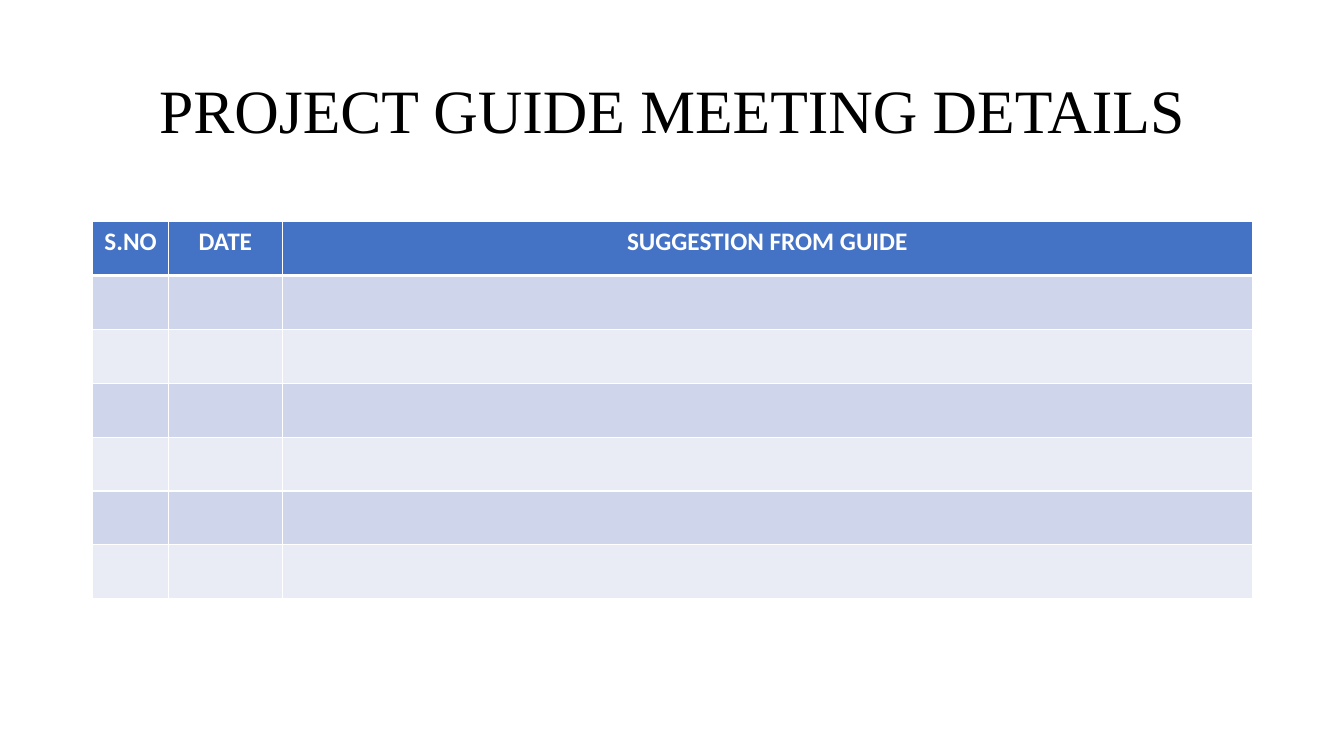
"""Build the project guide meeting slide."""
from lxml.etree import SubElement
from pptx import Presentation
from pptx.dml.color import RGBColor
from pptx.enum.text import MSO_ANCHOR, PP_ALIGN
from pptx.oxml.ns import qn
from pptx.util import Inches, Pt

WHITE, BLACK, HEADER = "FFFFFF", "000000", "4472C4"
BANDS = ("CFD5EA", "E9EBF5")
HEADINGS = ("S.NO", "DATE", "SUGGESTION FROM GUIDE")
COLUMN_WIDTHS = (0.75, 1.13, 9.62)
ENTRY_ROWS = 6


def rgb(value):
    """Return the colour for a hex string."""
    return RGBColor.from_string(value)


def format_paragraph(p, font, size, color, bold=False):
    """Centre a paragraph and format its runs."""
    p.alignment = PP_ALIGN.CENTER
    for r in p.runs:
        r.font.name = font
        r.font.size = Pt(size)
        r.font.bold = bold
        r.font.color.rgb = rgb(color)


def set_borders(cell, color, **widths):
    """Draw the cell's borders with a width in points for each side."""
    tc_pr = cell._tc.get_or_add_tcPr()
    for side, width in widths.items():
        line = SubElement(tc_pr, qn(f"a:ln{side}"), w=str(Pt(width)))
        fill = SubElement(line, qn("a:solidFill"))
        SubElement(fill, qn("a:srgbClr"), val=color)


def add_title(s, text, left, top, width, height):
    """Place the slide title in its box."""
    tf = s.shapes.add_textbox(left, top, width, height).text_frame
    tf.word_wrap = True
    tf.vertical_anchor = MSO_ANCHOR.MIDDLE
    tf.text = text
    p = tf.paragraphs[0]
    p.line_spacing = 0.9
    format_paragraph(p, "Times New Roman", 44, BLACK)


def add_meeting_table(s, left, top, width, height):
    """Place the table with a header row and banded empty rows."""
    table = s.shapes.add_table(
        ENTRY_ROWS + 1, len(HEADINGS), left, top, width, height).table
    for column, share in zip(table.columns, COLUMN_WIDTHS):
        column.width = int(width * share / sum(COLUMN_WIDTHS))
    for i, row in enumerate(table.rows):
        for cell in row.cells:
            set_borders(cell, WHITE, L=1, R=1, T=3 if i == 1 else 1,
                        B=3 if i == 0 else 1)
            cell.fill.solid()
            cell.fill.fore_color.rgb = rgb(BANDS[(i - 1) % 2] if i else HEADER)
    for cell, heading in zip(table.rows[0].cells, HEADINGS):
        cell.text = heading
        format_paragraph(cell.text_frame.paragraphs[0], "Calibri", 18, WHITE, True)


def main():
    """Create the slide and save it."""
    prs = Presentation()
    prs.slide_width, prs.slide_height = Inches(13.33), Inches(7.5)
    s = prs.slides.add_slide(prs.slide_layouts[6])
    left, width = Inches(0.92), Inches(11.5)
    add_title(s, "PROJECT GUIDE MEETING DETAILS",
              left, Inches(0.4), width, Inches(1.45))
    add_meeting_table(s, left, Inches(2.2), width, Inches(3.74))
    prs.save("out.pptx")


if __name__ == "__main__":
    main()
